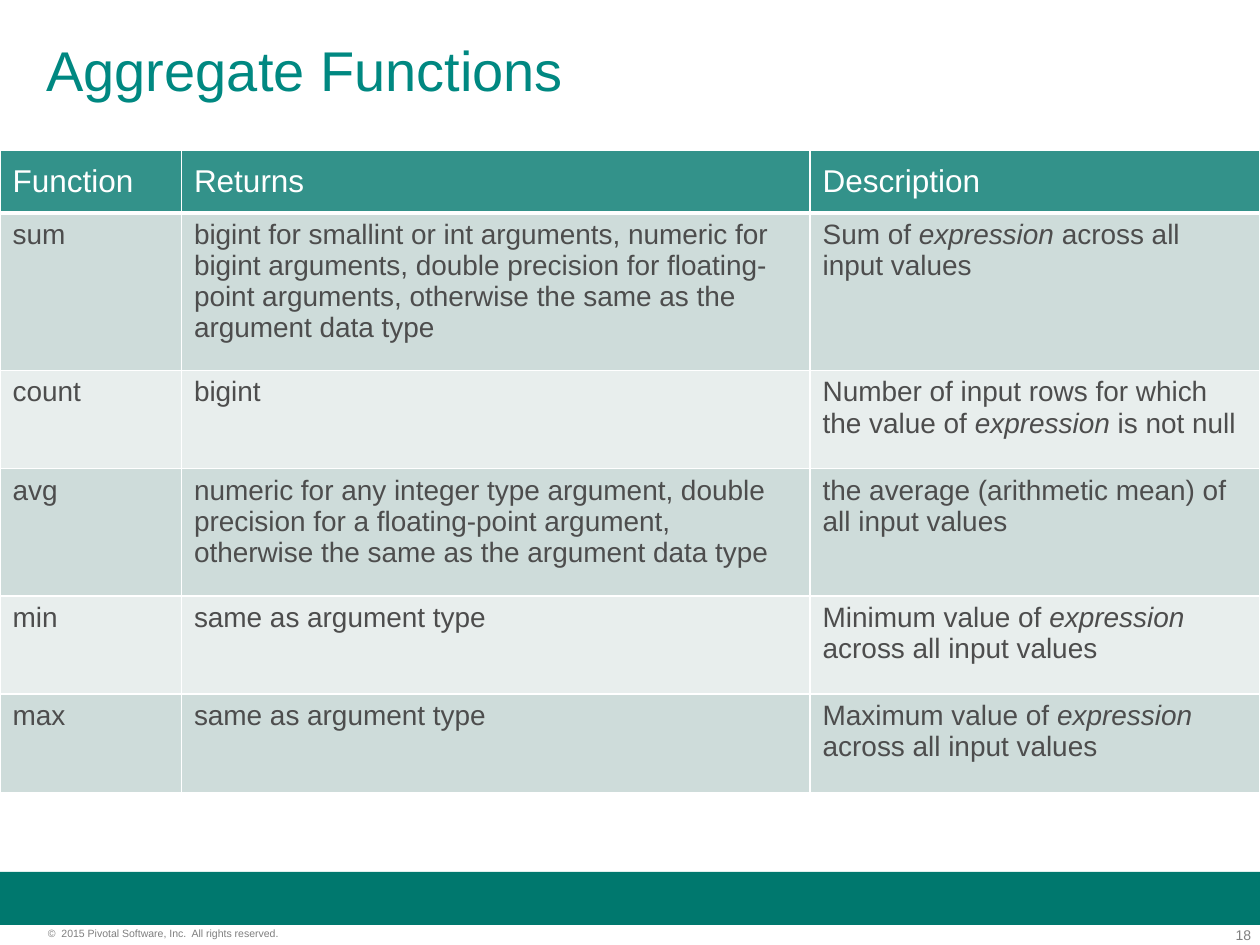
from lxml.etree import SubElement
from pptx import Presentation
from pptx.dml.color import RGBColor
from pptx.enum.shapes import MSO_SHAPE
from pptx.enum.text import MSO_ANCHOR, PP_ALIGN
from pptx.oxml.ns import qn
from pptx.util import Inches, Pt

FONT = "Arial"
WHITE, GREY, TEXT = "FFFFFF", "7F7F7F", "4D4D4D"
HEADER_FILL = "33928A"
BAND_FILLS = ["CEDCDA", "E8EEED"]

COLUMN_WIDTHS = [1.44, 4.99, 3.57]
ROW_HEIGHTS = [0.5, 1.25, 0.78, 1.01, 0.78, 0.78]
HEADER = ["Function", "Returns", "Description"]
# Text between asterisks is italic.
ROWS = [
    ["sum",
     "bigint for smallint or int arguments, numeric for bigint arguments, "
     "double precision for floating-point arguments, otherwise the same as "
     "the argument data type",
     "Sum of *expression* across all input values"],
    ["count", "bigint",
     "Number of input rows for which the value of *expression* is not null"],
    ["avg",
     "numeric for any integer type argument, double precision for a "
     "floating-point argument, otherwise the same as the argument data type",
     "the average (arithmetic mean) of all input values"],
    ["min", "same as argument type",
     "Minimum value of *expression* across all input values"],
    ["max", "same as argument type",
     "Maximum value of *expression* across all input values"],
]


def rgb(color):
    return RGBColor.from_string(color)


def add_runs(p, text, size, color):
    """Add text to a paragraph, with the parts between asterisks in italic."""
    for i, part in enumerate(text.split("*")):
        r = p.add_run()
        r.text = part
        r.font.name = FONT
        r.font.size = Pt(size)
        r.font.bold = False
        r.font.italic = i % 2 == 1
        r.font.color.rgb = rgb(color)


def add_text(s, box, text, size, color, align=PP_ALIGN.LEFT, inset=(0, 0),
             anchor=MSO_ANCHOR.TOP):
    tf = s.shapes.add_textbox(*map(Inches, box)).text_frame
    tf.word_wrap = True
    tf.vertical_anchor = anchor
    tf.margin_left = tf.margin_right = Inches(inset[0])
    tf.margin_top = tf.margin_bottom = Inches(inset[1])
    p = tf.paragraphs[0]
    p.alignment = align
    add_runs(p, text, size, color)


def add_bar(s, box, color):
    bar = s.shapes.add_shape(MSO_SHAPE.RECTANGLE, *map(Inches, box))
    bar.shadow.inherit = False
    bar.fill.solid()
    bar.fill.fore_color.rgb = rgb(color)
    bar.line.fill.background()


def set_borders(cell, color, bottom=1):
    """Draw 1 pt borders, with a bottom border of its own width."""
    tc_pr = cell._tc.get_or_add_tcPr()
    widths = {"a:lnL": 1, "a:lnR": 1, "a:lnT": 1, "a:lnB": bottom}
    for tag, width in widths.items():
        ln = SubElement(tc_pr, qn(tag), w=str(Pt(width)))
        fill = SubElement(ln, qn("a:solidFill"))
        SubElement(fill, qn("a:srgbClr"), val=color)


def fill_cell(cell, text, size, color, fill, bottom=1):
    set_borders(cell, WHITE, bottom)
    cell.fill.solid()
    cell.fill.fore_color.rgb = rgb(fill)
    add_runs(cell.text_frame.paragraphs[0], text, size, color)


def add_function_table(s, left, top):
    frame = s.shapes.add_table(
        len(ROW_HEIGHTS), len(COLUMN_WIDTHS), Inches(left), Inches(top),
        Inches(sum(COLUMN_WIDTHS)), Inches(sum(ROW_HEIGHTS)))
    table = frame.table
    for column, width in zip(table.columns, COLUMN_WIDTHS):
        column.width = Inches(width)
    for row, height in zip(table.rows, ROW_HEIGHTS):
        row.height = Inches(height)
    for c, text in enumerate(HEADER):
        cell = table.cell(0, c)
        cell.vertical_anchor = MSO_ANCHOR.MIDDLE
        fill_cell(cell, text, 18, WHITE, HEADER_FILL, bottom=3)
    for r, row in enumerate(ROWS):
        for c, text in enumerate(row):
            fill_cell(table.cell(r + 1, c), text, 16, TEXT, BAND_FILLS[r % 2])


def main():
    prs = Presentation()
    prs.slide_width, prs.slide_height = Inches(10), Inches(7.5)
    s = prs.slides.add_slide(prs.slide_layouts[6])

    add_bar(s, (0, 6.92, 10, 0.42), "00786E")
    add_text(s, (9.35, 7.35, 0.58, 0.13), "18", 8, GREY, PP_ALIGN.RIGHT)
    add_text(s, (0.38, 7.36, 2.49, 0.1),
             "©  2015 Pivotal Software, Inc.  All rights reserved.", 6, GREY)
    add_text(s, (0.27, 0, 9, 1.09), "Aggregate Functions", 32, "008881",
             inset=(0.1, 0.05), anchor=MSO_ANCHOR.MIDDLE)
    add_function_table(s, 0, 1.19)

    prs.save("out.pptx")


if __name__ == "__main__":
    main()
